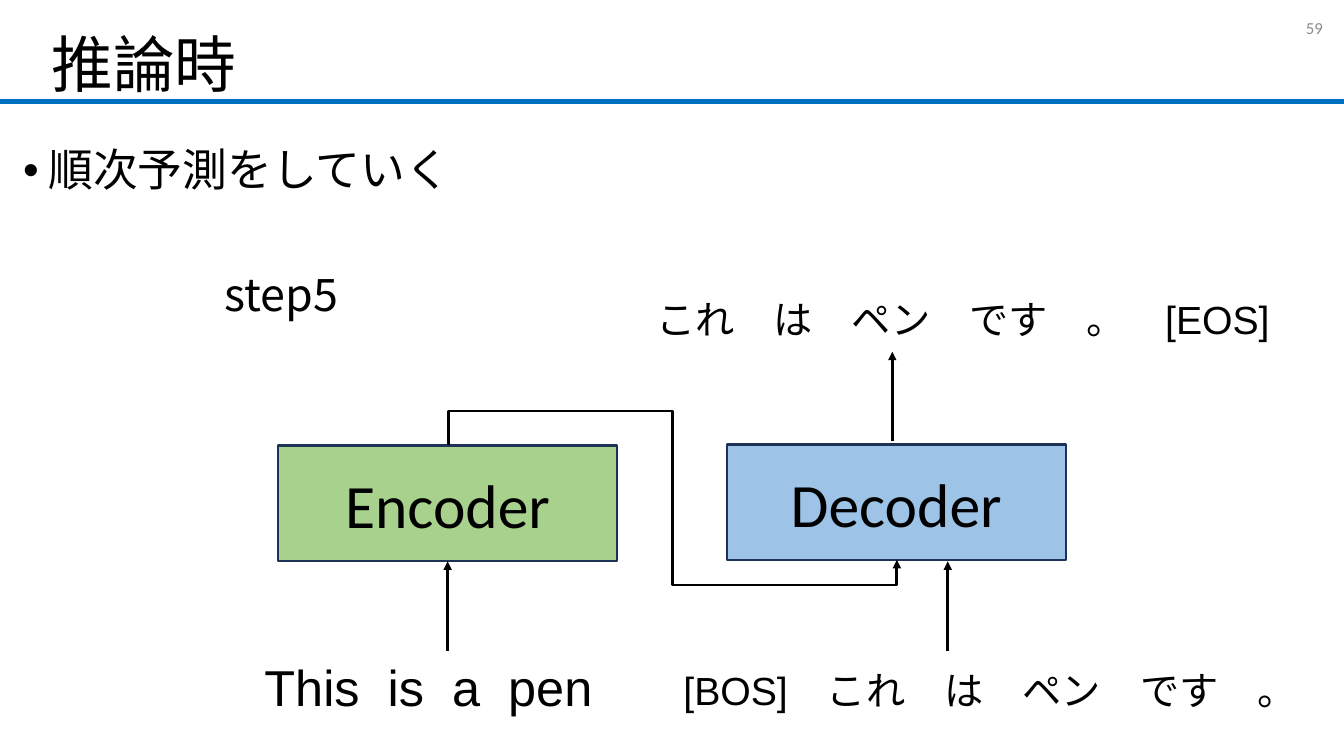
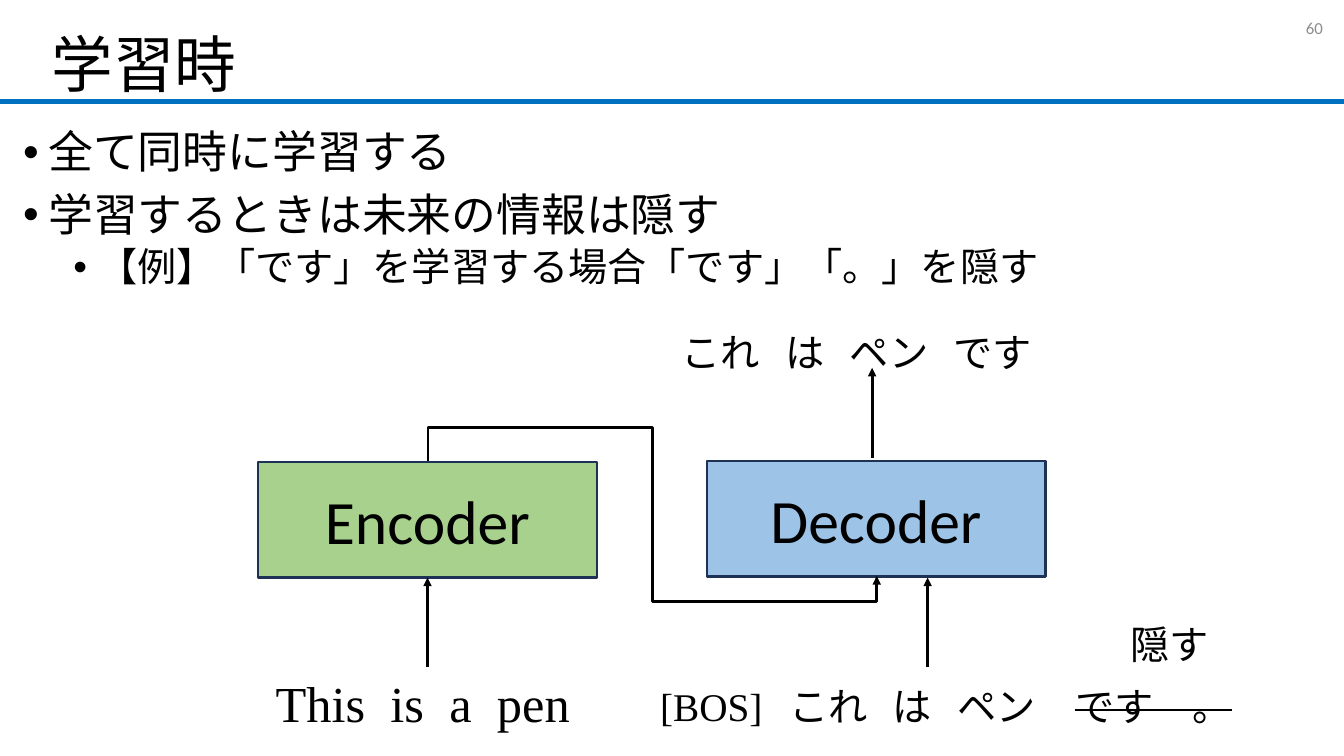
from lxml.etree import SubElement
from pptx import Presentation
from pptx.dml.color import RGBColor
from pptx.enum.shapes import MSO_CONNECTOR as Link, MSO_SHAPE as Shape
from pptx.enum.text import MSO_ANCHOR as Anchor, MSO_AUTO_SIZE as AutoSize, PP_ALIGN as Align
from pptx.oxml.ns import qn
from pptx.util import Inches, Pt

hex_color = RGBColor.from_string
BLACK, RULE_BLUE, NUMBER_GRAY = "000000", "0070C0", "8C8C8C"
ENCODER_GREEN, DECODER_BLUE, BLOCK_EDGE = "A9D18E", "9DC3E6", "1E3256"
JAPANESE, SERIF, SANS, LATIN = "Noto Sans CJK JP", "Times New Roman", "Arial", "Calibri"
BLOCK_WIDTH, BLOCK_HEIGHT = 3.36, 1.15


def write(paragraph, text, size, font, color=BLACK, gap=0, strike=False):
    for index, word in enumerate(text.split(" ")):
        for part in ([" ", word] if index else [word]):
            run = paragraph.add_run()
            run.text = part
            run.font.size = Pt(size)
            run.font.color.rgb = hex_color(color)
            run.font.name = font
            properties = run.font._element
            SubElement(properties, qn("a:ea")).set("typeface", JAPANESE)
            if part == " ":
                properties.set("spc", str(gap * 100))
            if strike:
                properties.set("strike", "sngStrike")


def connect(slide, kind, start, end, color=BLACK, width=2, arrow=True):
    link = slide.shapes.add_connector(kind, *[Inches(value) for value in (*start, *end)])
    link.line.color.rgb = hex_color(color)
    link.line.width = Pt(width)
    if arrow:
        SubElement(link.line._get_or_add_ln(), qn("a:tailEnd")).set("type", "triangle")
    SubElement(link.element.spPr, qn("a:effectLst"))
    return link


lessons = [
    {
        "title": "推論時", "number": "59", "shift": (0, 0), "body_top": 1.42,
        "points": [("順次予測をしていく", 0)],
        "source_font": SANS, "source_width": 3.83, "source_gap": 10,
        "labels": [
            (6.68, 6.56, 6.46, [("[BOS]　これ　は　ペン　です　。", SANS, False)]),
            (6.41, 2.88, 6.44, [("これ　は　ペン　です　。　", SERIF, False), ("[EOS]", SANS, False)]),
        ],
    },
    {
        "title": "学習時", "number": "60", "shift": (-0.2, 0.16), "body_top": 1.24,
        "points": [
            ("全て同時に学習する", 0),
            ("学習するときは未来の情報は隠す", 0),
            ("【例】「です」を学習する場合「です」「。」を隠す", 1),
        ],
        "source_font": SERIF, "source_width": 3.21, "source_gap": 9,
        "labels": [
            (6.45, 6.72, 5.87, [("[BOS] これ は ペン　", SERIF, False), ("です　。", SERIF, True)]),
            (6.66, 3.21, 3.8, [("これ は ペン です", SERIF, False)]),
            (11.11, 6.1, 0.99, [("隠す", SANS, False)]),
        ],
    },
]

deck = Presentation()
deck.slide_width, deck.slide_height = Inches(13.33), Inches(7.5)
layout = deck.slide_layouts[5]

for lesson in lessons:
    slide = deck.slides.add_slide(layout)
    dx, dy = lesson["shift"]

    if lesson is lessons[0]:
        rule = connect(slide, Link.STRAIGHT, (0, 1.01), (13.33, 1.01), RULE_BLUE, 3.75, False)
        layout.shapes.element.append(rule.element)

    title = slide.shapes.title
    title.left, title.top, title.width, title.height = Inches(0.41), 0, Inches(12.54), Inches(1.34)
    title.text_frame.vertical_anchor = Anchor.MIDDLE
    title.text_frame.auto_size = AutoSize.NONE
    heading = title.text_frame.paragraphs[0]
    heading.alignment = Align.LEFT
    heading.line_spacing = 0.9
    write(heading, lesson["title"], 44, JAPANESE)

    body = slide.shapes.add_textbox(Inches(0.13), Inches(lesson["body_top"]), Inches(13.09), Inches(1.8)).text_frame
    body.word_wrap = True
    for index, (text, level) in enumerate(lesson["points"]):
        point = body.add_paragraph() if index else body.paragraphs[0]
        point.level = level
        properties = point._p.get_or_add_pPr()
        properties.set("marL", str(Inches(0.25 + 0.5 * level)))
        properties.set("indent", str(Inches(-0.25)))
        SubElement(properties, qn("a:buFont")).set("typeface", SANS)
        SubElement(properties, qn("a:buChar")).set("char", "•")
        point.line_spacing = 0.9
        if index:
            point.space_before = Pt(5 if level else 10)
        write(point, text, 28 if level else 32, JAPANESE)

    if lesson is lessons[0]:
        step = slide.shapes.add_textbox(Inches(2.13), Inches(2.66), Inches(2), Inches(0.6)).text_frame
        step.paragraphs[0].line_spacing = 0.9
        write(step.paragraphs[0], "step5", 32, JAPANESE)

    number = slide.shapes.add_textbox(Inches(10.22), Inches(0.08), Inches(3), Inches(0.4)).text_frame
    number.word_wrap = True
    number.vertical_anchor = Anchor.MIDDLE
    number.paragraphs[0].alignment = Align.RIGHT
    write(number.paragraphs[0], lesson["number"], 12, LATIN, NUMBER_GRAY)

    blocks = []
    for name, left, top, color in [
        ("Encoder", 2.76, 4.42, ENCODER_GREEN),
        ("Decoder", 7.21, 4.41, DECODER_BLUE),
    ]:
        block = slide.shapes.add_shape(
            Shape.RECTANGLE, Inches(left + dx), Inches(top + dy), Inches(BLOCK_WIDTH), Inches(BLOCK_HEIGHT))
        block.shadow.inherit = False
        block.fill.solid()
        block.fill.fore_color.rgb = hex_color(color)
        block.line.color.rgb = hex_color(BLOCK_EDGE)
        block.line.width = Pt(1.5)
        block.text_frame.vertical_anchor = Anchor.MIDDLE
        block.text_frame.paragraphs[0].alignment = Align.CENTER
        write(block.text_frame.paragraphs[0], name, 44, LATIN)
        blocks.append(block)
    encoder, decoder = blocks

    source_width = lesson["source_width"]
    source_words = [(4.44 + dx - source_width / 2, 6.46 + dy, source_width, 0.71, 36, lesson["source_gap"],
                     [("This is a pen", lesson["source_font"], False)])]
    target_words = [(left, top, width, 0.57, 28, 12, runs) for left, top, width, runs in lesson["labels"]]
    sentences = []
    for left, top, width, height, size, gap, runs in source_words + target_words:
        sentence = slide.shapes.add_textbox(Inches(left), Inches(top), Inches(width), Inches(height))
        sentence.text_frame.word_wrap = False
        sentence.text_frame.auto_size = AutoSize.SHAPE_TO_FIT_TEXT
        for text, font, strike in runs:
            write(sentence.text_frame.paragraphs[0], text, size, font, gap=gap, strike=strike)
        sentences.append(sentence)

    source_arrow = connect(slide, Link.STRAIGHT, (4.44 + dx, 6.46 + dy), (4.44 + dx, 5.57 + dy))
    source_arrow.begin_connect(sentences[0], 0)
    source_arrow.end_connect(encoder, 2)
    for x, start, end in [(9.4, 6.46, 5.57), (8.85, 4.38, 3.49)]:
        connect(slide, Link.STRAIGHT, (x + dx, start + dy), (x + dx, end + dy))

    context = connect(slide, Link.ELBOW, (4.44 + dx, 4.42 + dy), (8.89 + dx, 5.56 + dy))
    context.begin_connect(encoder, 0)
    context.end_connect(decoder, 2)
    context.left, context.top = Inches(6.1 + dx), Inches(2.76 + dy)
    context.width, context.height = Inches(1.14), Inches(4.45)
    frame = context.element.spPr.find(qn("a:xfrm"))
    frame.set("rot", str(270 * 60000))
    frame.set("flipH", "1")
    route = context.element.spPr.find(qn("a:prstGeom"))
    route.set("prst", "bentConnector5")
    bends = route.find(qn("a:avLst"))
    for index, bend in enumerate([-29600, 50000, 121900], 1):
        guide = SubElement(bends, qn("a:gd"))
        guide.set("name", f"adj{index}")
        guide.set("fmla", f"val {bend}")

deck.save("out.pptx")
